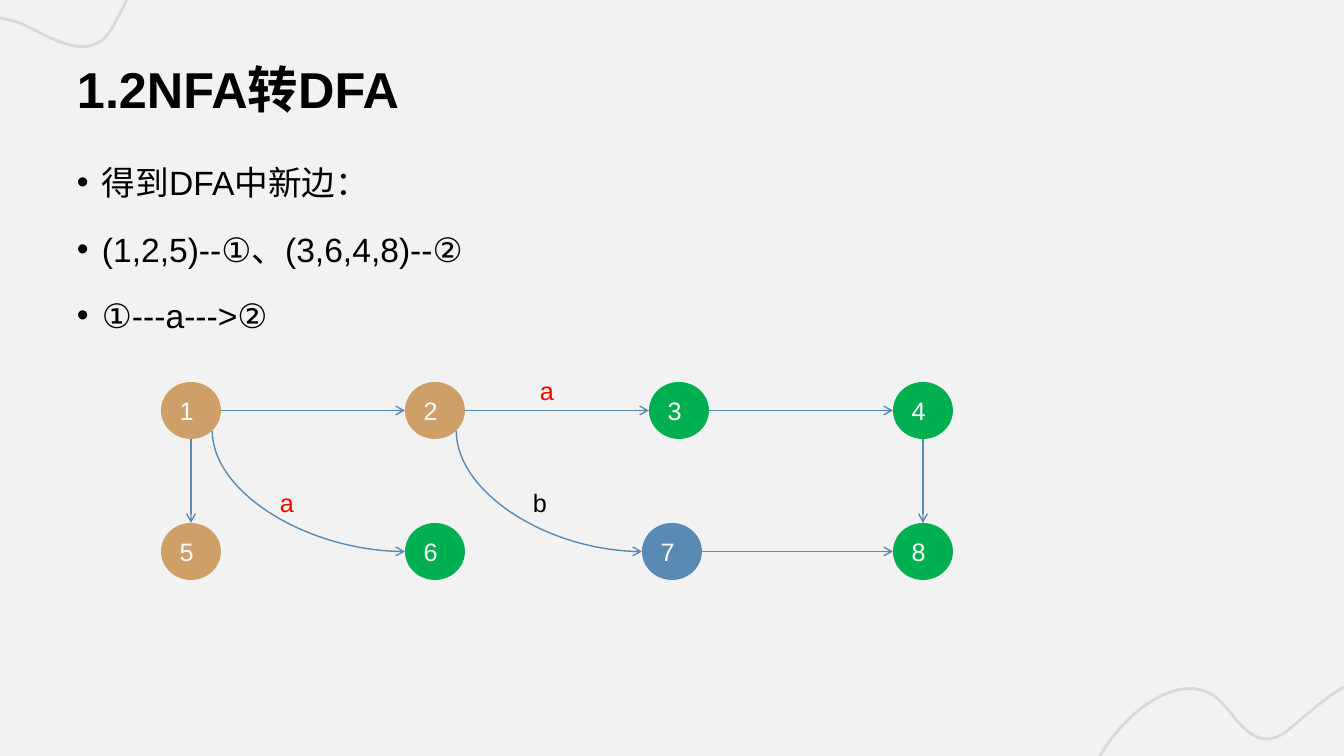
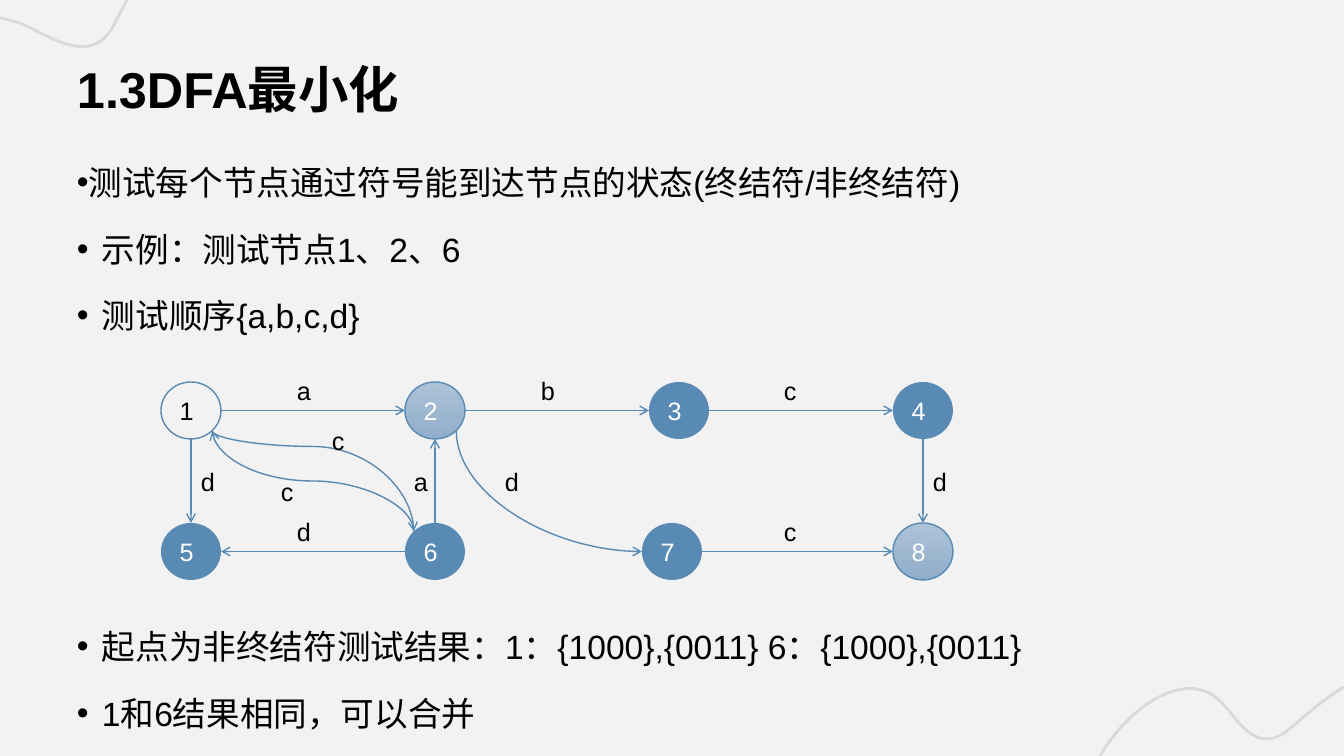
from lxml import etree
from pptx import Presentation
from pptx.dml.color import RGBColor
from pptx.enum.shapes import MSO_CONNECTOR, MSO_SHAPE
from pptx.enum.text import MSO_ANCHOR, MSO_AUTO_SIZE, PP_ALIGN
from pptx.oxml.ns import qn
from pptx.util import Emu, Pt

STRAIGHT, CURVE = MSO_CONNECTOR.STRAIGHT, MSO_CONNECTOR.CURVE
OVAL = MSO_SHAPE.OVAL
LEFT = PP_ALIGN.LEFT
MIDDLE, BOTTOM = MSO_ANCHOR.MIDDLE, MSO_ANCHOR.BOTTOM
NO_AUTOFIT = MSO_AUTO_SIZE.NONE

SLIDE_WIDTH, SLIDE_HEIGHT = 1344, 756
EMU_PER_PX = 12192000 / SLIDE_WIDTH
TITLE_ONLY = 5
FONT = "Arial"
BLACK, WHITE, RED = "000000", "FFFFFF", "FF0000"
PAPER, CURVE_INK = "F2F2F2", "010101"
BLUE, TAN, GREEN = "588AB4", "CE9F67", "00B050"
PALE_TOP, PALE_BOTTOM = "AEC2D7", "90ADCB"

MARGIN, CONTENT_WIDTH = 77, 1190
BULLET_INDENT = 25
NODE_WIDTH, NODE_HEIGHT = 60, 57
COLUMN_LEFT, COLUMN_PITCH = 161, 244
ROW_TOPS = (382, 523)
NODE_PLACES = {
    column + 4 * row + 1: (COLUMN_LEFT + column * COLUMN_PITCH, top)
    for row, top in enumerate(ROW_TOPS) for column in range(4)
}
NODE_PLACES[7] = (642, ROW_TOPS[1])

# Connection sites of an ellipse, as offsets in half widths and half heights
TOP_SITE, TOP_LEFT_SITE, LEFT_SITE = 0, 1, 2
BOTTOM_SITE, BOTTOM_RIGHT_SITE, RIGHT_SITE = 4, 5, 6
SITE_OFFSETS = {
    TOP_SITE: (0, -1), TOP_LEFT_SITE: (-0.71, -0.71), LEFT_SITE: (-1, 0),
    BOTTOM_SITE: (0, 1), BOTTOM_RIGHT_SITE: (0.71, 0.71), RIGHT_SITE: (1, 0),
}

# Each corner curve: a start point, then Bezier segments
CORNER_CURVES = (
    ((1100, 756), (((1129, 706), (1189, 665), (1223, 704)),
                   ((1239, 721), (1258, 758), (1292, 727)),
                   ((1307, 714), (1323, 700), (1344, 687)))),
    ((0, 18), (((10, 20), (14, 21), (22, 24)),
               ((50, 36), (93, 69), (115, 23)),
               ((119, 15), (123, 8), (127, 0)))),
)
CURVE_STEPS = 20

# Edges: first node, its site, second node, its site
SHARED_EDGES = (
    (1, RIGHT_SITE, 2, LEFT_SITE),
    (2, RIGHT_SITE, 3, LEFT_SITE),
    (3, RIGHT_SITE, 4, LEFT_SITE),
    (1, BOTTOM_SITE, 5, TOP_SITE),
    (4, BOTTOM_SITE, 8, TOP_SITE),
    (7, RIGHT_SITE, 8, LEFT_SITE),
)
MINIMIZE_EDGES = (
    (6, LEFT_SITE, 5, RIGHT_SITE),
    (6, TOP_SITE, 2, BOTTOM_SITE),
)


def px(length):
    return Emu(round(length * EMU_PER_PX))


def color(value):
    return RGBColor.from_string(value)


def set_font(font, size, ink, bold=False):
    font.name, font.size, font.bold = FONT, Pt(size), bold
    font.color.rgb = color(ink)


def clear_insets(frame):
    frame.margin_left = frame.margin_top = 0
    frame.margin_right = frame.margin_bottom = 0


def bezier_points(start, segments):
    """Return points along a chain of cubic curves."""
    points = []
    for segment in segments:
        controls = (start, *segment)
        for step in range(1, CURVE_STEPS + 1):
            t = step / CURVE_STEPS
            weights = ((1 - t) ** 3, 3 * t * (1 - t) ** 2, 3 * t * t * (1 - t), t ** 3)
            points.append(tuple(
                px(sum(w * point[axis] for w, point in zip(weights, controls)))
                for axis in (0, 1)))
        start = segment[-1]
    return points


def decorate_layout(layout, slide):
    """Draw the corner curves on the slide and move them to its layout."""
    for number, (start, segments) in enumerate(CORNER_CURVES):
        builder = slide.shapes.build_freeform(px(start[0]), px(start[1]), scale=1.0)
        builder.add_line_segments(bezier_points(start, segments), close=False)
        curve = builder.convert_to_shape()
        curve.shadow.inherit = False
        curve.fill.background()
        curve.line.width = Pt(2)
        curve.line.color.rgb = color(CURVE_INK)
        ink = curve._element.spPr.find(".//" + qn("a:srgbClr"))
        etree.SubElement(ink, qn("a:alpha"), val="10000")
        curve._element.nvSpPr.cNvPr.set("id", str(100 + number))
        layout.shapes._spTree.insert(2 + number, curve._element)


def add_titled_slide(deck, text):
    slide = deck.slides.add_slide(deck.slide_layouts[TITLE_ONLY])
    title = slide.shapes.title
    title.left, title.top = px(MARGIN), px(39)
    title.width, title.height = px(CONTENT_WIDTH), px(80)
    frame = title.text_frame
    frame.text = text
    frame.auto_size = NO_AUTOFIT
    frame.vertical_anchor = BOTTOM
    clear_insets(frame)
    para = frame.paragraphs[0]
    para.alignment = LEFT
    set_font(para.font, 36, BLACK, bold=True)
    return slide


def add_bullets(slide, top, height, lines, first_indent=BULLET_INDENT):
    box = slide.shapes.add_textbox(px(MARGIN), px(top), px(CONTENT_WIDTH), px(height))
    frame = box.text_frame
    frame.word_wrap = True
    clear_insets(frame)
    for number, line in enumerate(lines):
        para = frame.add_paragraph() if number else frame.paragraphs[0]
        para.text = line
        para.line_spacing = 1.3
        if number:
            para.space_before = Pt(10)
        indent = BULLET_INDENT if number else first_indent
        properties = para._p.get_or_add_pPr()
        properties.set("marL", str(px(indent)))
        properties.set("indent", str(-px(indent)))
        etree.SubElement(properties, qn("a:buFont"), typeface=FONT)
        etree.SubElement(properties, qn("a:buChar"), char="•")
        set_font(para.font, 24, BLACK)


def add_node(slide, number, fill):
    """Add a state; fill is a colour, a pair for a gradient, or None."""
    left, top = NODE_PLACES[number]
    node = slide.shapes.add_shape(OVAL, px(left), px(top), px(NODE_WIDTH), px(NODE_HEIGHT))
    node.shadow.inherit = False
    if isinstance(fill, str):
        node.fill.solid()
        node.fill.fore_color.rgb = color(fill)
        node.line.fill.background()
    else:
        node.line.color.rgb = color(BLUE)
        node.line.width = Pt(1)
        if fill:
            node.fill.gradient()
            node.fill.gradient_angle = 270
            for stop, shade in zip(node.fill.gradient_stops, fill):
                stop.color.rgb = color(shade)
        else:
            node.fill.background()
    frame = node.text_frame
    frame.text = str(number)
    frame.vertical_anchor = MIDDLE
    para = frame.paragraphs[0]
    para.alignment = LEFT
    set_font(para.font, 18, WHITE if fill else BLACK)
    return node


def add_nodes(slide, fills):
    return {number: add_node(slide, number, fill) for number, fill in fills.items()}


def site_point(number, site):
    left, top = NODE_PLACES[number]
    across, down = SITE_OFFSETS[site]
    return (px(left + NODE_WIDTH / 2 * (1 + across)),
            px(top + NODE_HEIGHT / 2 * (1 + down)))


def finish_edge(connector, nodes, start, start_site, end, end_site):
    """Style a connector as an arrow and join it to its two nodes."""
    connector.line.color.rgb = color(BLUE)
    connector.line.width = Pt(1)
    properties = connector._element.spPr
    etree.SubElement(properties.find(qn("a:ln")), qn("a:tailEnd"), type="arrow")
    etree.SubElement(properties, qn("a:effectLst"))
    joints = connector._element.nvCxnSpPr.cNvCxnSpPr
    for tag, number, site in (("a:stCxn", start, start_site), ("a:endCxn", end, end_site)):
        etree.SubElement(joints, qn(tag), id=str(nodes[number].shape_id), idx=str(site))


def add_straight_edges(slide, nodes, edges):
    for start, start_site, end, end_site in edges:
        connector = slide.shapes.add_connector(
            STRAIGHT, *site_point(start, start_site), *site_point(end, end_site))
        finish_edge(connector, nodes, start, start_site, end, end_site)


def add_curved_edge(slide, nodes, start, start_site, end, end_site, bend=None):
    """Add a curve leaving vertically; bend makes it an S and places its middle."""
    x1, y1 = site_point(start, start_site)
    x2, y2 = site_point(end, end_site)
    width, height = abs(y2 - y1), abs(x2 - x1)
    left, top = (x1 + x2 - width) // 2, (y1 + y2 - height) // 2
    connector = slide.shapes.add_connector(CURVE, left, top, left + width, top + height)
    frame = connector._element.spPr.find(qn("a:xfrm"))
    frame.set("rot", str((90 if y2 > y1 else 270) * 60000))
    frame.set("flipV", "1")
    geometry = connector._element.spPr.find(qn("a:prstGeom"))
    if bend is None:
        geometry.set("prst", "curvedConnector2")
    else:
        guides = geometry.find(qn("a:avLst"))
        etree.SubElement(guides, qn("a:gd"), name="adj1", fmla=f"val {bend}")
    finish_edge(connector, nodes, start, start_site, end, end_site)


def add_labels(slide, labels):
    for text, left, top, ink in labels:
        box = slide.shapes.add_textbox(px(left), px(top), px(52), px(40))
        box.text_frame.word_wrap = True
        box.text_frame.text = text
        set_font(box.text_frame.paragraphs[0].font, 18, ink)


def add_conversion_slide(deck):
    slide = add_titled_slide(deck, "1.2NFA转DFA")
    add_bullets(slide, 150, 200, (
        "得到DFA中新边：", "(1,2,5)--①、(3,6,4,8)--②", "①---a--->②"))
    nodes = add_nodes(slide, {1: TAN, 2: TAN, 3: GREEN, 4: GREEN,
                              5: TAN, 6: GREEN, 7: BLUE, 8: GREEN})
    add_straight_edges(slide, nodes, SHARED_EDGES)
    add_curved_edge(slide, nodes, 2, BOTTOM_RIGHT_SITE, 7, LEFT_SITE)
    add_curved_edge(slide, nodes, 1, BOTTOM_RIGHT_SITE, 6, LEFT_SITE)
    add_labels(slide, (("a", 270, 482, RED), ("a", 530, 370, RED), ("b", 523, 482, BLACK)))
    return slide


def add_minimization_slide(deck):
    slide = add_titled_slide(deck, "1.3DFA最小化")
    add_bullets(slide, 150, 200, (
        "测试每个节点通过符号能到达节点的状态(终结符/非终结符)",
        "示例：测试节点1、2、6", "测试顺序{a,b,c,d}"), first_indent=0)
    add_bullets(slide, 614, 130, (
        "起点为非终结符测试结果：1：{1000},{0011} 6：{1000},{0011}",
        "1和6结果相同，可以合并"))
    pale = (PALE_TOP, PALE_BOTTOM)
    nodes = add_nodes(slide, {1: None, 2: pale, 3: BLUE, 4: BLUE,
                              5: BLUE, 6: BLUE, 7: BLUE, 8: pale})
    add_straight_edges(slide, nodes, SHARED_EDGES + MINIMIZE_EDGES)
    add_curved_edge(slide, nodes, 2, BOTTOM_RIGHT_SITE, 7, LEFT_SITE)
    add_curved_edge(slide, nodes, 1, BOTTOM_RIGHT_SITE, 6, TOP_LEFT_SITE, bend=15600)
    add_curved_edge(slide, nodes, 6, TOP_LEFT_SITE, 1, BOTTOM_RIGHT_SITE, bend=50000)
    add_labels(slide, [(text, left, top, BLACK) for text, left, top in (
        ("a", 287, 370), ("b", 531, 370), ("c", 774, 370),
        ("d", 191, 461), ("a", 404, 461), ("d", 495, 461), ("d", 923, 461),
        ("d", 287, 511), ("c", 774, 511), ("c", 271, 471), ("c", 322, 420))])


def main():
    deck = Presentation()
    deck.slide_width, deck.slide_height = px(SLIDE_WIDTH), px(SLIDE_HEIGHT)
    background = deck.slide_master.background.fill
    background.solid()
    background.fore_color.rgb = color(PAPER)
    slide = add_conversion_slide(deck)
    decorate_layout(deck.slide_layouts[TITLE_ONLY], slide)
    add_minimization_slide(deck)
    deck.save("out.pptx")


if __name__ == "__main__":
    main()
